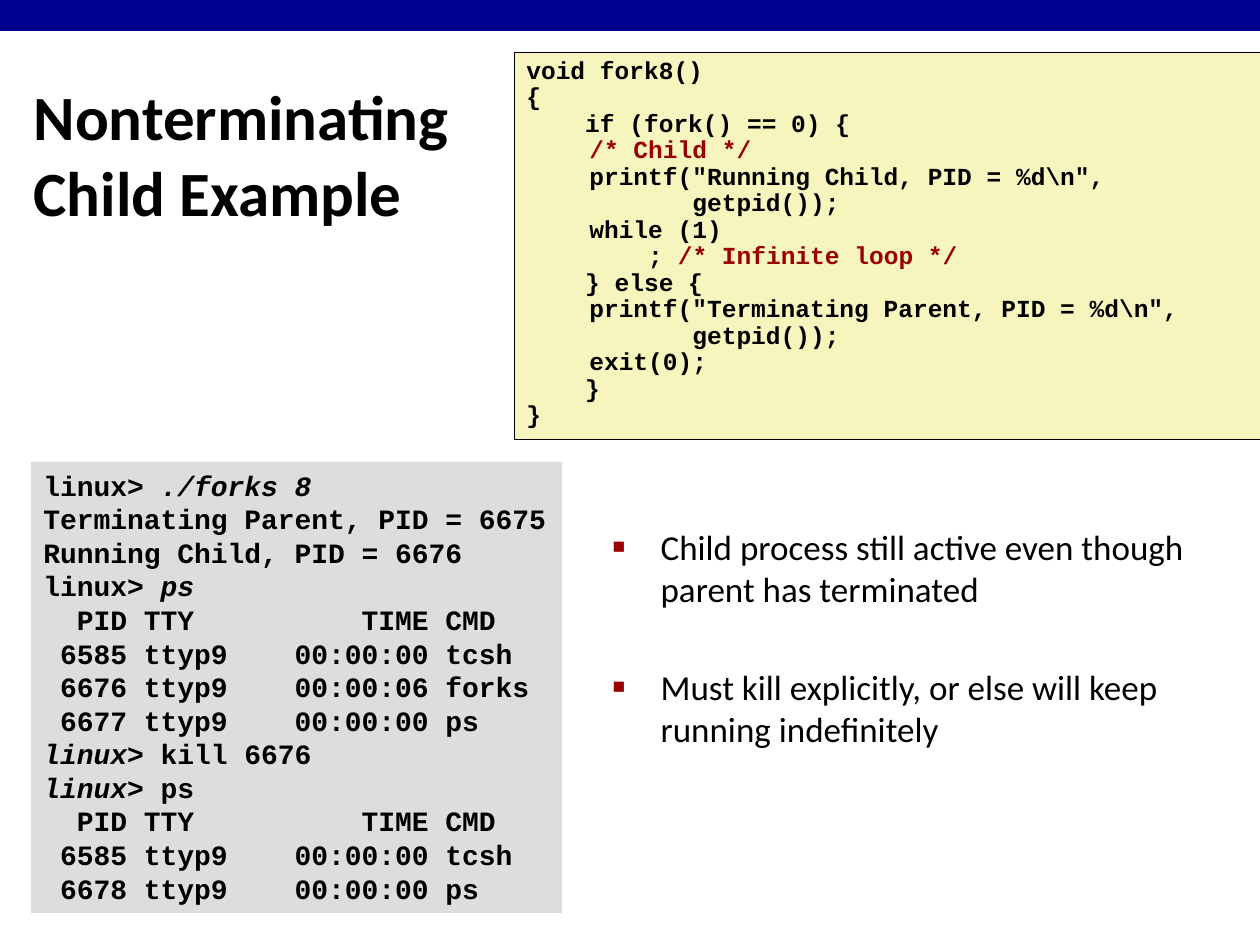
from lxml.etree import SubElement
from pptx import Presentation
from pptx.dml.color import RGBColor
from pptx.enum.shapes import MSO_SHAPE
from pptx.enum.text import MSO_ANCHOR, MSO_AUTO_SIZE, PP_ALIGN
from pptx.oxml.ns import qn
from pptx.util import Emu, Pt

COLORS = {"bar": "000090", "console": "DDDDDD", "code": "F6F5BD",
          "text": "000000", "accent": "990000"}
PX = 914400 / 126

HEADING = "Nonterminating\vChild Example"
POINTS = [
    "Child process still active even though parent has terminated",
    "Must kill explicitly, or else will keep running indefinitely",
]
PLAIN, ITALIC, COMMENT = (
    {"italic": False, "color": "text"},
    {"italic": True, "color": "text"},
    {"italic": False, "color": "accent"},
)
CONSOLE = [
    [("linux> ", PLAIN), ("./forks 8", ITALIC)],
    [("Terminating Parent, PID = 6675", PLAIN)],
    [("Running Child, PID = 6676", PLAIN)],
    [("linux> ", PLAIN), ("ps", ITALIC)],
    [("  PID TTY          TIME CMD", PLAIN)],
    [(" 6585 ttyp9    00:00:00 tcsh", PLAIN)],
    [(" 6676 ttyp9    00:00:06 forks", PLAIN)],
    [(" 6677 ttyp9    00:00:00 ps", PLAIN)],
    [("linux>", ITALIC), (" kill 6676", PLAIN)],
    [("linux>", ITALIC), (" ps", PLAIN)],
    [("  PID TTY          TIME CMD", PLAIN)],
    [(" 6585 ttyp9    00:00:00 tcsh", PLAIN)],
    [(" 6678 ttyp9    00:00:00 ps", PLAIN)],
]
CODE = [
    [("void fork8()", PLAIN)],
    [("{", PLAIN)],
    [("    if (fork() == 0) {", PLAIN)],
    [("\t", PLAIN), ("/* Child */", COMMENT)],
    [("\tprintf(\"Running Child, PID = %d\\n\",", PLAIN)],
    [("\t       getpid());", PLAIN)],
    [("\twhile (1)", PLAIN)],
    [("\t    ; ", PLAIN), ("/* Infinite loop */", COMMENT)],
    [("    } else {", PLAIN)],
    [("\tprintf(\"Terminating Parent, PID = %d\\n\",", PLAIN)],
    [("\t       getpid());", PLAIN)],
    [("\texit(0);", PLAIN)],
    [("    }", PLAIN)],
    [("}", PLAIN)],
]


def px(length):
    return Emu(round(length * PX))


def rgb(name):
    return RGBColor.from_string(COLORS[name])


def set_values(target, **values):
    for name, value in values.items():
        setattr(target, name, value)


def place(part, box):
    set_values(part, **dict(zip(("left", "top", "width", "height"), map(px, box))))


def style_font(font, color="text", **values):
    set_values(font, **values)
    font.color.rgb = rgb(color)


def add_panel(slide, box, fill, border=None):
    panel = slide.shapes.add_shape(MSO_SHAPE.RECTANGLE, *map(px, box))
    panel.shadow.inherit = False
    panel.fill.solid()
    panel.fill.fore_color.rgb = rgb(fill)
    if border:
        panel.line.color.rgb = rgb("text")
        panel.line.width = Pt(border)
    else:
        panel.line.fill.background()
    return panel


def add_listing(panel, lines, size, spacing):
    frame = panel.text_frame
    set_values(frame, word_wrap=False, vertical_anchor=MSO_ANCHOR.TOP,
               auto_size=MSO_AUTO_SIZE.SHAPE_TO_FIT_TEXT)
    for number, line in enumerate(lines):
        paragraph = frame.add_paragraph() if number else frame.paragraphs[0]
        set_values(paragraph, alignment=PP_ALIGN.LEFT, line_spacing=spacing)
        for text, style in line:
            run = paragraph.add_run()
            run.text = text
            style_font(run.font, name="Courier New", size=Pt(size), bold=True, **style)


def add_bullet(paragraph):
    properties = paragraph._p.get_or_add_pPr()
    properties.set("marL", str(px(48)))
    properties.set("indent", str(-px(48)))
    color = SubElement(properties, qn("a:buClr"))
    SubElement(color, qn("a:srgbClr"), val=COLORS["accent"])
    SubElement(properties, qn("a:buSzPct"), val="60000")
    SubElement(properties, qn("a:buChar"), char="■")


def main():
    deck = Presentation()
    set_values(deck, slide_width=px(1260), slide_height=px(945))
    slide = deck.slides.add_slide(deck.slide_layouts[1])

    add_panel(slide, (0, 0, 1260, 31), "bar")
    console = add_panel(slide, (31, 462, 531, 451), "console")
    add_listing(console, CONSOLE, 16, 1.0)

    title = slide.shapes.title
    place(title, (21, 42, 504, 223))
    title.text_frame.text = HEADING
    set_values(title.text_frame, vertical_anchor=MSO_ANCHOR.MIDDLE,
               auto_size=MSO_AUTO_SIZE.NONE)
    heading = title.text_frame.paragraphs[0]
    heading.alignment = PP_ALIGN.LEFT
    style_font(heading.font, name="Calibri", size=Pt(36), bold=True)

    body = slide.placeholders[1]
    place(body, (600, 519, 597, 374))
    body.text_frame.text = "\n".join(POINTS)
    body.text_frame.auto_size = MSO_AUTO_SIZE.NONE
    for number, point in enumerate(body.text_frame.paragraphs):
        add_bullet(point)
        point.space_before = Pt(32 if number else 0)
        style_font(point.font, name="Calibri", size=Pt(20))

    code = add_panel(slide, (514, 52, 746, 387), "code", 0.25)
    add_listing(code, CODE, 14, 0.9)
    deck.save("out.pptx")


if __name__ == "__main__":
    main()
